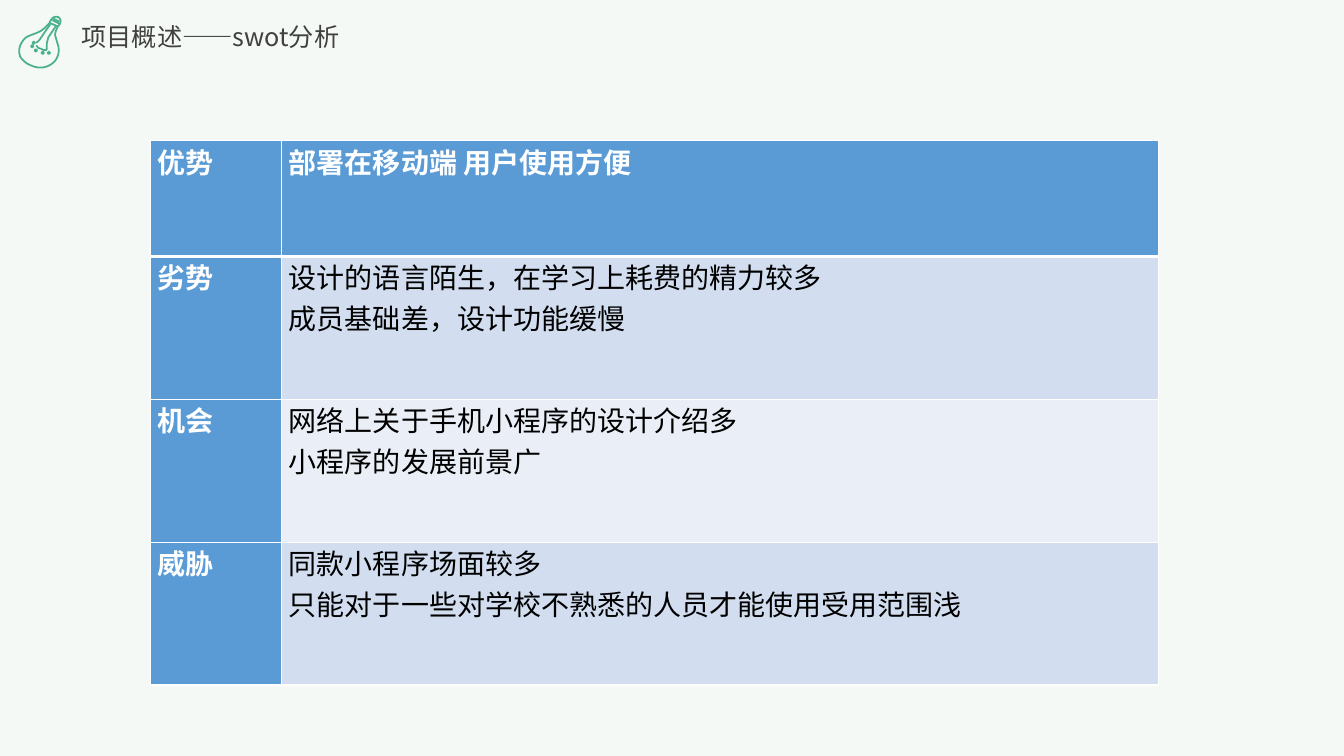
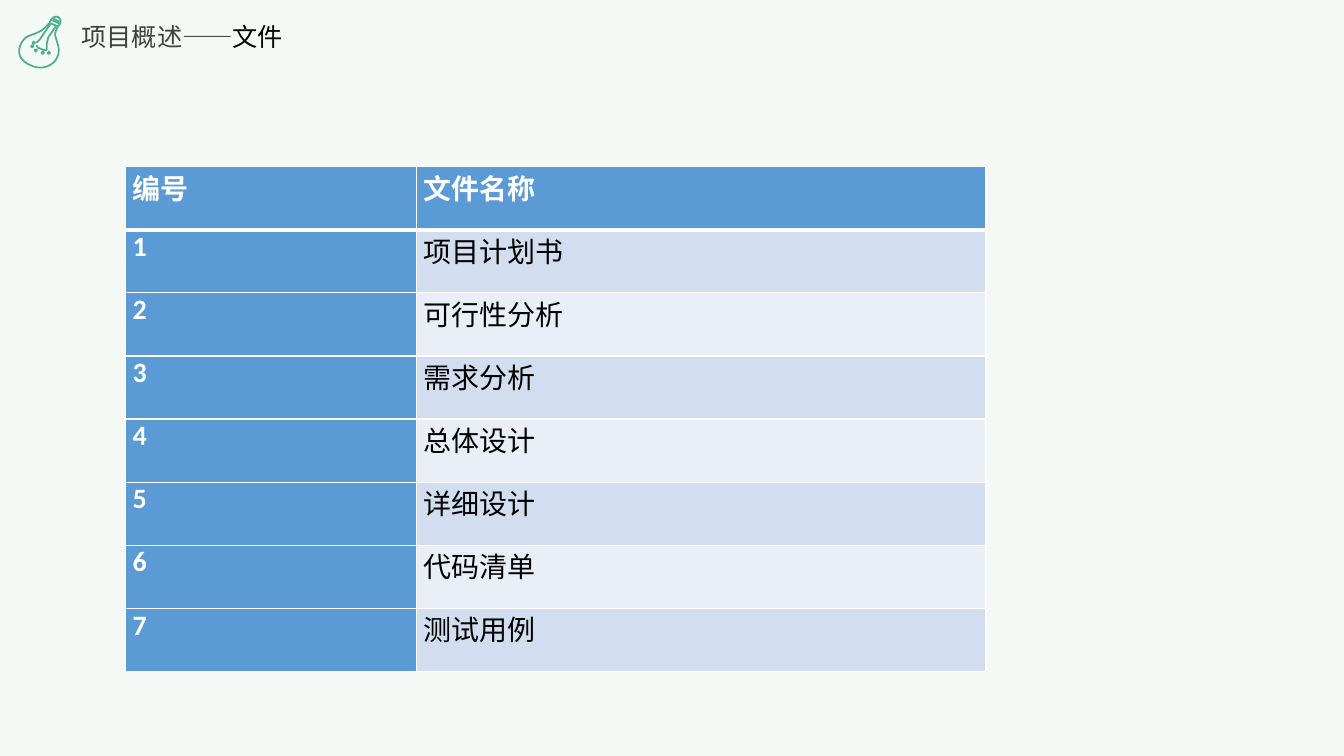
from dataclasses import dataclass

from lxml import etree
from pptx import Presentation
from pptx.dml.color import RGBColor
from pptx.enum.text import MSO_ANCHOR, MSO_AUTO_SIZE, PP_ALIGN
from pptx.oxml.ns import qn
from pptx.util import Cm, Pt

TOP = MSO_ANCHOR.TOP
NO_FIT = MSO_AUTO_SIZE.NONE
LEFT, JUSTIFY = PP_ALIGN.LEFT, PP_ALIGN.JUSTIFY
TITLE_ONLY = 5


@dataclass(frozen=True)
class Theme:
    background: str = "F4F9F5"
    bulb: str = "4BB08C"
    title: str = "404040"
    ink: str = "000000"
    white: str = "FFFFFF"
    head: str = "5B9BD5"
    bands: tuple = ("D2DEEF", "EAEFF7")
    title_size: int = 18
    table_size: int = 20
    cjk: str = "Noto Sans CJK SC"
    latin: str = "Calibri"
    serif: str = "Times New Roman"


# Bulb geometry in hundredths of an inch from the slide's top left corner.
BULB_START = (55, 36)
BULB_CURVES = [  # two control points and an end point each
    ((54, 33), (56, 30), (57, 27)),
    ((60, 24), (62, 20), (58, 17)),
    ((53, 15), (50, 20), (49, 23)),
    ((46, 26), (43, 30), (38, 32)),
    ((34, 34), (29, 35), (26, 37)),
    ((21, 41), (17, 49), (20, 56)),
    ((23, 62), (31, 66), (38, 67)),
    ((45, 68), (52, 64), (55, 60)),
    ((58, 56), (59, 51), (58, 46)),
    ((57, 43), (56, 39), (55, 36)),
]
BULB_WIRES = [
    [(50, 24), (43, 34), (39, 40), (36, 42.5)],
    [(55.5, 26), (48, 37), (46.5, 43), (46.5, 49.5)],
    [(36, 45), (38, 47.5), (41, 48.5), (43, 49.7), (46.5, 49.5)],
]
BULB_BANDS = [
    [(50, 23), (58, 26.5)],
    [(52, 20), (59, 23.5)],
    [(53, 18.5), (59, 21.5)],
]
BULB_LOOPS = [(33.5, 42.5), (32, 46), (35.5, 50), (42.5, 52.5), (48.5, 52.5)]
LOOP_RADIUS = 1.2


def flatten(start, curves, steps=6):
    """Return points along a chain of cubic Bézier curves."""
    points = [start]
    for c1, c2, end in curves:
        p0 = points[-1]
        for i in range(1, steps + 1):
            t = i / steps
            u = 1 - t
            weights = (u ** 3, 3 * u * u * t, 3 * u * t * t, t ** 3)
            points.append(tuple(
                sum(w * p[axis] for w, p in zip(weights, (p0, c1, c2, end)))
                for axis in (0, 1)))
    return points


def diamond(x, y, r):
    return [(x - r, y), (x, y - r), (x + r, y), (x, y + r), (x - r, y)]


def set_border(cell, side, color, width):
    """Draw one side (L, R, T or B) of a table cell."""
    ln = etree.Element(qn(f"a:ln{side}"), w=str(Pt(width)))
    fill = etree.SubElement(ln, qn("a:solidFill"))
    etree.SubElement(fill, qn("a:srgbClr"), val=color)
    tc_pr = cell._tc.get_or_add_tcPr()
    tc_pr.insert("LRTB".index(side), ln)


class Deck:
    def __init__(self, theme):
        self.theme = theme
        self.prs = Presentation()
        self.prs.slide_width, self.prs.slide_height = Cm(33.87), Cm(19.05)
        self.fill(self.prs.slide_master.background, theme.background)
        self.slide = None

    def fill(self, target, color):
        target.fill.solid()
        target.fill.fore_color.rgb = RGBColor.from_string(color)

    def add_run(self, p, text, size, color, font, bold=False):
        r = p.add_run()
        r.text = text
        r.font.size, r.font.bold, r.font.name = Pt(size), bold, font
        r.font.color.rgb = RGBColor.from_string(color)
        etree.SubElement(r.font._element, qn("a:ea"), typeface=self.theme.cjk)

    def add_slide(self, width, *title_runs):
        """Start a slide with its bulb and a title of (text, colour, font) runs."""
        layout = self.prs.slide_layouts[TITLE_ONLY]
        self.slide = self.prs.slides.add_slide(layout)
        self.add_bulb()
        sp = self.slide.shapes.title
        sp.left, sp.top, sp.width, sp.height = Cm(1.8), Cm(0.5), Cm(width), Cm(1.02)
        tf = sp.text_frame
        tf.word_wrap, tf.auto_size, tf.vertical_anchor = True, NO_FIT, TOP
        p = tf.paragraphs[0]
        p.alignment, p.line_spacing = LEFT, 0.9
        for text, color, font in title_runs:
            self.add_run(p, text, self.theme.title_size, color, font)

    def add_bulb(self):
        fine = 10  # freeform points are whole numbers, so use a finer unit
        contours = [flatten(BULB_START, BULB_CURVES), *BULB_WIRES, *BULB_BANDS]
        contours += [diamond(x, y, LOOP_RADIUS) for x, y in BULB_LOOPS]
        builder = None
        for contour in contours:
            start, *rest = [(x * fine, y * fine) for x, y in contour]
            if builder is None:
                builder = self.slide.shapes.build_freeform(
                    *start, scale=Cm(2.54) / 100 / fine)
            else:
                builder.move_to(*start)
            builder.add_line_segments(rest, close=False)
        sp = builder.convert_to_shape()
        sp.shadow.inherit = False
        self.fill(sp, self.theme.background)
        sp.line.color.rgb = RGBColor.from_string(self.theme.bulb)
        sp.line.width = Pt(1.25)

    def add_table(self, left, top, widths, heights, rows, font):
        """Add a table with a coloured first row and column; a cell is one text per line."""
        frame = self.slide.shapes.add_table(
            len(rows), len(widths), Cm(left), Cm(top),
            Cm(sum(widths)), Cm(sum(heights)))
        table = frame.table
        for column, width in zip(table.columns, widths):
            column.width = Cm(width)
        for row, height in zip(table.rows, heights):
            row.height = Cm(height)
        for i, row in enumerate(rows):
            for j, text in enumerate(row):
                self.fill_cell(table.cell(i, j), i, j, text, font)

    def fill_cell(self, cell, i, j, text, font):
        theme = self.theme
        is_head = i == 0 or j == 0
        cell.margin_left = cell.margin_right = Cm(0.18)
        cell.margin_top = cell.margin_bottom = 0
        self.fill(cell, theme.head if is_head else theme.bands[(i - 1) % 2])
        for side in "LRTB":
            under_head = (i, side) in ((0, "B"), (1, "T"))
            set_border(cell, side, theme.white, 3 if under_head else 1)
        tf = cell.text_frame
        for n, line in enumerate(text.split("\n")):
            p = tf.add_paragraph() if n else tf.paragraphs[0]
            p.alignment = JUSTIFY
            self.add_run(p, line, theme.table_size,
                         theme.white if is_head else theme.ink,
                         theme.latin if i and j == 0 else font, is_head)


def main():
    theme = Theme()
    deck = Deck(theme)

    deck.add_slide(7.1, ("项目概述——swot分析", theme.title, theme.cjk))
    swot = [
        ("优势", "部署在移动端 用户使用方便"),
        ("劣势", "设计的语言陌生，在学习上耗费的精力较多\n成员基础差，设计功能缓慢"),
        ("机会", "网络上关于手机小程序的设计介绍多\n小程序的发展前景广"),
        ("威胁", "同款小程序场面较多\n只能对于一些对学校不熟悉的人员才能使用受用范围浅"),
    ]
    deck.add_table(3.8, 3.54, (3.3, 22.1), (2.92, 3.6, 3.6, 3.6), swot, theme.serif)

    deck.add_slide(5.74, ("项目概述——", theme.title, theme.cjk),
                   ("文件", theme.ink, theme.latin))
    names = ["项目计划书", "可行性分析", "需求分析", "总体设计",
             "详细设计", "代码清单", "测试用例"]
    files = [("编号", "文件名称")]
    files += [(str(n), name) for n, name in enumerate(names, 1)]
    deck.add_table(3.16, 4.2, (7.34, 14.35), [1.59] * len(files), files, theme.latin)

    deck.prs.save("out.pptx")


if __name__ == "__main__":
    main()
